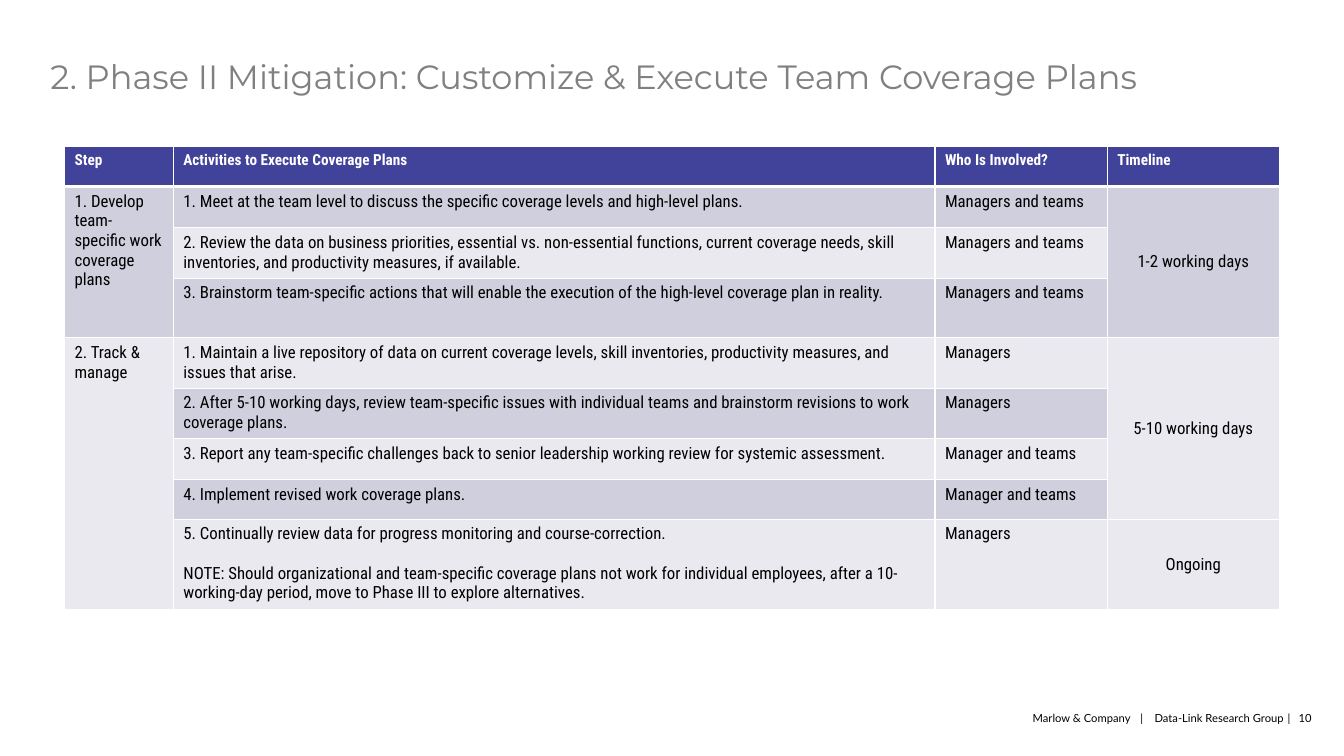
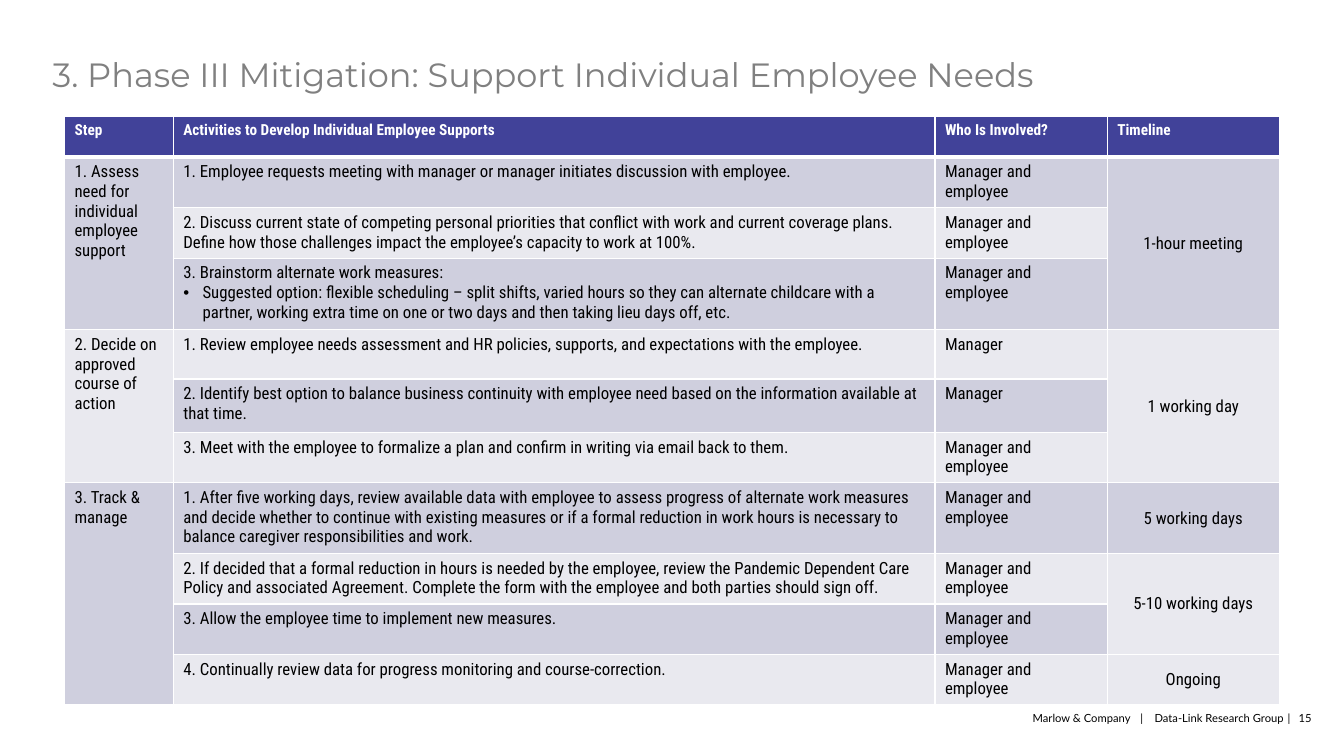
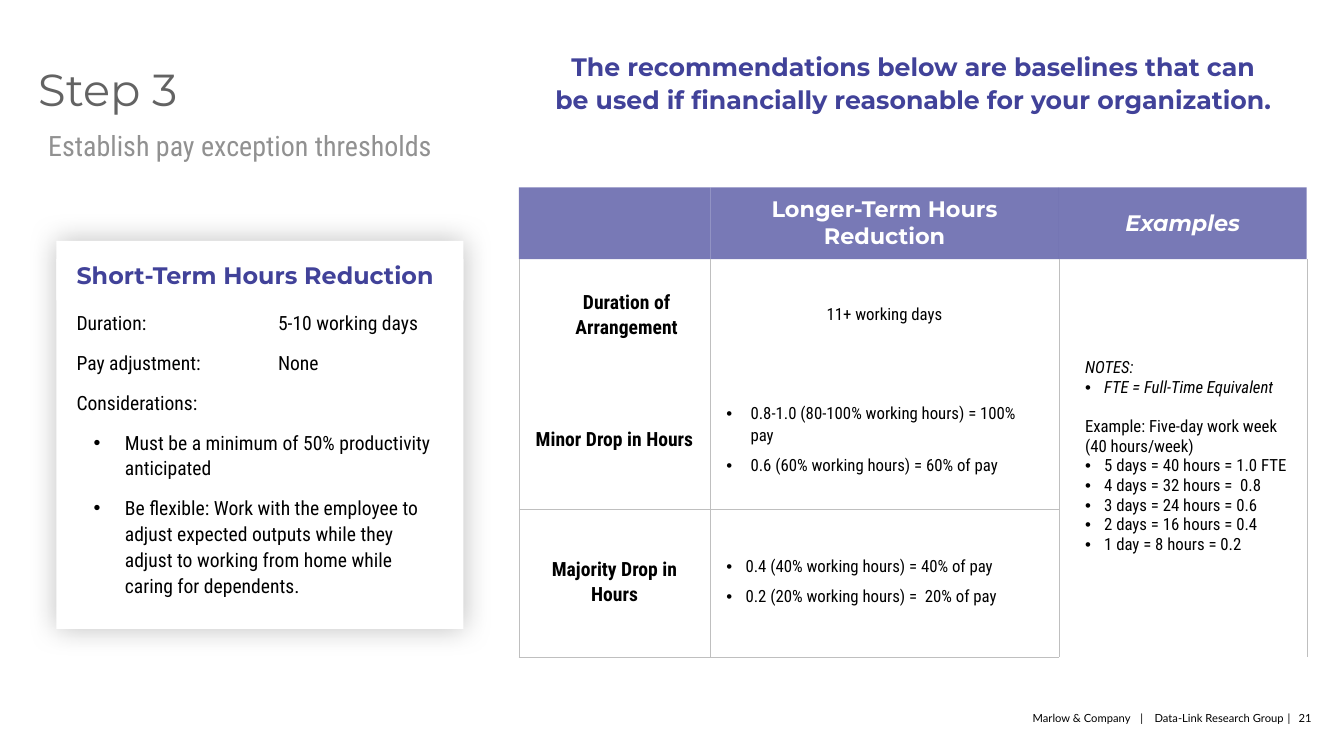
import lxml.etree
import pptx
import pptx.dml.color
import pptx.enum.shapes
import pptx.enum.text
import pptx.oxml.ns
import pptx.util

Inches = pptx.util.Inches
Pt = pptx.util.Pt
CENTER = pptx.enum.text.PP_ALIGN.CENTER
MIDDLE = pptx.enum.text.MSO_ANCHOR.MIDDLE

INK = "000000"
WHITE = "FFFFFF"
GRAY = "808080"
INDIGO = "414299"
VIOLET = "6162AA"
RULE = "BFBFBF"
SHADES = ["E9E9EF", "CFCFDE"]
HEAD = "Montserrat"
BODY = "Roboto Condensed"
PLAIN = "{2D5ABB26-0587-4C30-8999-92F81FD0307C}"
SIDES = ["left", "top", "right", "bottom"]


def paint(text):
    return pptx.dml.color.RGBColor.from_string(text)


def node(parent, tag, **values):
    child = lxml.etree.SubElement(parent, pptx.oxml.ns.qn(tag))
    for key, value in values.items():
        child.set(key, str(value))
    return child


def inset(item, values):
    for side, value in zip(SIDES, values):
        setattr(item, f"margin_{side}", Inches(value))


def bullet(text, left=0.19, hang=-0.19, **look):
    return text, {"left": left, "hang": hang, "mark": "•", **look}


class Deck:
    def __init__(self):
        self.show = pptx.Presentation()
        self.show.slide_width = Inches(13.34)
        self.show.slide_height = Inches(7.5)
        self.slide = None

    def page(self, number):
        self.slide = self.show.slides.add_slide(self.show.slide_layouts[6])
        line = f"Marlow & Company\t|\tData-Link Research Group\t|\t{number}"
        self.text([10.25, 7.04, 2.9, 0.2], [line], pad=[0] * 4, size=8, name="Lato",
                  spacing=1.1, tabs=[1.07, 1.21, 2.53, 2.64])

    def pour(self, frame, lines, pad=None, **base):
        frame.word_wrap = True
        if pad:
            inset(frame, pad)
        for index, item in enumerate(lines):
            words, own = item if isinstance(item, tuple) else (item, {})
            look = {"name": BODY, "size": 12, "color": INK, "bold": False, "italic": False, **base, **own}
            para = frame.add_paragraph() if index else frame.paragraphs[0]
            self.align(para, look, index)
            run = para.add_run()
            run.text = words
            values = {key: look[key] for key in ["name", "bold", "italic"]}
            for key, value in {**values, "size": Pt(look["size"])}.items():
                setattr(run.font, key, value)
            run.font.color.rgb = paint(look["color"])

    def align(self, para, look, index):
        props = para._p.get_or_add_pPr()
        for key, name in {"left": "marL", "hang": "indent"}.items():
            if key in look:
                props.set(name, str(Inches(look[key])))
        if "mark" in look:
            node(props, "a:buFont", typeface="Arial")
            node(props, "a:buChar", char=look["mark"])
        if "tabs" in look:
            stops = node(props, "a:tabLst")
            for stop in look["tabs"]:
                node(stops, "a:tab", pos=Inches(stop), algn="l")
        values = {"alignment": look.get("align"), "line_spacing": look.get("spacing")}
        if index and "before" in look:
            values["space_before"] = Pt(look["before"])
        for key, value in values.items():
            if value is not None:
                setattr(para, key, value)

    def text(self, box, lines, **look):
        shape = self.slide.shapes.add_textbox(*map(Inches, box))
        self.pour(shape.text_frame, lines, **look)

    def title(self, box, words, **look):
        values = {"name": HEAD, "size": 24, "color": GRAY, "spacing": 0.9, **look}
        self.text(box, [words], pad=[0] * 4, **values)

    def panel(self, box, lines, blur=0, **look):
        kind = pptx.enum.shapes.MSO_SHAPE.RECTANGLE
        shape = self.slide.shapes.add_shape(kind, *map(Inches, box))
        shape.shadow.inherit = False
        shape.fill.solid()
        shape.fill.fore_color.rgb = paint(WHITE)
        shape.line.fill.background()
        if blur:
            effects = shape._element.spPr.find(pptx.oxml.ns.qn("a:effectLst"))
            glow = node(effects, "a:outerShdw", blurRad=Pt(blur), dist=0, dir=0, algn="ctr", rotWithShape=0)
            node(node(glow, "a:srgbClr", val=INK), "a:alpha", val=25000)
        shape.text_frame.vertical_anchor = pptx.enum.text.MSO_ANCHOR.TOP
        self.pour(shape.text_frame, lines, align=pptx.enum.text.PP_ALIGN.LEFT, **look)

    def grid(self, left, top, wide, high, rows):
        box = map(Inches, [left, top, sum(wide), sum(high)])
        table = self.slide.shapes.add_table(len(high), len(wide), *box).table
        table.first_row = table.horz_banding = False
        table._tbl.tblPr.find(pptx.oxml.ns.qn("a:tableStyleId")).text = PLAIN
        for column, width in zip(table.columns, wide):
            column.width = Inches(width)
        for row, height in zip(table.rows, high):
            row.height = Inches(height)
        for c in range(len(wide)):
            starts = [r for r, row in enumerate(rows) if row[c] is not None]
            for start, end in zip(starts, starts[1:] + [len(rows)]):
                if end - start > 1:
                    table.cell(start, c).merge(table.cell(end - 1, c))
        return table

    def edge(self, cell, sides, color, width):
        props = cell._tc.get_or_add_tcPr()
        for side in sides:
            line = node(props, f"a:ln{side}", w=Pt(width))
            node(node(line, "a:solidFill"), "a:srgbClr", val=color)

    def tint(self, cell, color, alpha=100):
        cell.fill.solid()
        cell.fill.fore_color.rgb = paint(color)
        if alpha < 100:
            tone = cell._tc.tcPr.find(".//" + pptx.oxml.ns.qn("a:srgbClr"))
            node(tone, "a:alpha", val=alpha * 1000)

    def plan(self, top, high, focus, rows):
        rows = [["Step", focus, "Who Is Involved?", "Timeline"]] + rows
        table = self.grid(0.64, top, [1.08, 7.56, 1.71, 1.71], high, rows)
        shade = {}
        for r, row in enumerate(rows):
            for c, words in enumerate(row):
                cell = table.cell(r, c)
                self.edge(cell, "LR", WHITE, 1)
                self.edge(cell, "T", WHITE, 3 if r == 1 else 1)
                self.edge(cell, "B", WHITE, 1 if r else 3)
                if words is not None:
                    shade[c] = SHADES[r % 2] if r else INDIGO
                    look = {} if r else {"size": 10.9, "color": WHITE, "bold": True}
                    if r and c == 3:
                        cell.vertical_anchor = MIDDLE
                        look["align"] = CENTER
                    lines = words if isinstance(words, list) else [words]
                    self.pour(cell.text_frame, lines, **look)
                self.tint(cell, shade[c])

    def rates(self, rows):
        table = self.grid(5.15, 1.86, [1.9, 3.46, 2.46], [0.71, 1.13, 1.35, 1.47], rows)
        for r, row in enumerate(rows):
            for c, lines in enumerate(row):
                cell = table.cell(r, c)
                cell.vertical_anchor = MIDDLE
                if r == 0:
                    self.tint(cell, VIOLET, 85)
                    self.pour(cell.text_frame, lines, name=HEAD, size=16, color=WHITE, bold=True, align=CENTER)
                    continue
                self.edge(cell, "LR", RULE, 0.25)
                if c < 2 and r == 3:
                    self.edge(cell, "T", RULE, 0.25)
                if c < 2 and r > 1:
                    self.edge(cell, "B", RULE, 0.25)
                cell.fill.background()
                if lines is None:
                    continue
                inset(cell, [0.16, 0.08, 0.16, 0.12])
                look = {} if c == 2 else {"spacing": 1.1, "before": 6}
                if c == 0:
                    look.update(size=14, bold=True, align=CENTER)
                self.pour(cell.text_frame, lines, **look)


def team(deck):
    deck.page(10)
    deck.title([0.5, 0.6, 11.68, 0.57], "2. Phase II Mitigation: Customize & Execute Team Coverage Plans")
    both = "Managers and teams"
    one = "Manager and teams"
    note = ("NOTE: Should organizational and team-specific coverage plans not work for individual employees, "
            "after a 10-working-day period, move to Phase III to explore alternatives.")
    deck.plan(1.45, [0.4, 0.41, 0.49, 0.59, 0.49, 0.49, 0.41, 0.39, 0.88], "Activities to Execute Coverage Plans", [
        ["1. Develop team-specific work coverage plans",
         "1. Meet at the team level to discuss the specific coverage levels and high-level plans.",
         both, "1-2 working days"],
        [None, "2. Review the data on business priorities, essential vs. non-essential functions, current coverage "
         "needs, skill inventories, and productivity measures, if available.", both, None],
        [None, "3. Brainstorm team-specific actions that will enable the execution of the high-level coverage plan "
         "in reality.", both, None],
        ["2. Track & manage", "1. Maintain a live repository of data on current coverage levels, skill inventories, "
         "productivity measures, and issues that arise.", "Managers", "5-10 working days"],
        [None, "2. After 5-10 working days, review team-specific issues with individual teams and brainstorm "
         "revisions to work coverage plans.", "Managers", None],
        [None, "3. Report any team-specific challenges back to senior leadership working review for systemic "
         "assessment.", one, None],
        [None, "4. Implement revised work coverage plans.", one, None],
        [None, ["5. Continually review data for progress monitoring and course-correction.", (note, {"before": 14})],
         "Managers", "Ongoing"],
    ])


def support(deck):
    deck.page(15)
    deck.title([0.52, 0.58, 10.59, 0.57], "3. Phase III Mitigation: Support Individual Employee Needs")
    pair = "Manager and employee"
    high = [0.41, 0.49, 0.49, 0.71, 0.49, 0.53, 0.49, 0.69, 0.5, 0.49, 0.49]
    deck.plan(1.15, high, "Activities to Develop Individual Employee Supports", [
        ["1. Assess need for individual employee support",
         "1. Employee requests meeting with manager or manager initiates discussion with employee.",
         pair, "1-hour meeting"],
        [None, "2. Discuss current state of competing personal priorities that conflict with work and current "
         "coverage plans. Define how those challenges impact the employee’s capacity to work at 100%.", pair, None],
        [None, ["3. Brainstorm alternate work measures:",
                bullet("Suggested option: flexible scheduling – split shifts, varied hours so they can alternate "
                       "childcare with a partner, working extra time on one or two days and then taking lieu days "
                       "off, etc.")], pair, None],
        ["2. Decide on approved course of action", "1. Review employee needs assessment and HR policies, supports, "
         "and expectations with the employee.", "Manager", "1 working day"],
        [None, "2. Identify best option to balance business continuity with employee need based on the information "
         "available at that time.", "Manager", None],
        [None, "3. Meet with the employee to formalize a plan and confirm in writing via email back to them.",
         pair, None],
        ["3. Track & manage", "1. After five working days, review available data with employee to assess progress of "
         "alternate work measures and decide whether to continue with existing measures or if a formal reduction in "
         "work hours is necessary to balance caregiver responsibilities and work.", pair, "5 working days"],
        [None, "2. If decided that a formal reduction in hours is needed by the employee, review the Pandemic "
         "Dependent Care Policy and associated Agreement. Complete the form with the employee and both parties "
         "should sign off.", pair, "5-10 working days"],
        [None, "3. Allow the employee time to implement new measures.", pair, None],
        [None, "4. Continually review data for progress monitoring and course-correction.", pair, "Ongoing"],
    ])


def pay(deck):
    deck.page(21)
    deck.title([0.38, 0.59, 4.6, 0.57], "Step 3", size=32, color="636363", spacing=Pt(40))
    deck.text([0.38, 1.26, 4.7, 0.5], ["Establish pay exception thresholds"], size=20, color="919191", spacing=0.9)
    days = ["5 days = 40 hours = 1.0 FTE", "4 days = 32 hours =  0.8", "3 days = 24 hours = 0.6",
            "2 days = 16 hours = 0.4", "1 day = 8 hours = 0.2"]
    notes = [
        ("NOTES:", {"left": 0.1, "italic": True}),
        bullet("FTE = Full-Time Equivalent", 0.29, italic=True),
        ("Example: Five-day work week", {"left": 0.1, "before": 14}),
        ("(40 hours/week)", {"left": 0.1}),
    ] + [bullet(day, 0.29) for day in days]
    minor = ["0.8-1.0 (80-100% working hours) = 100% pay", "0.6 (60% working hours) = 60% of pay"]
    major = ["0.4 (40% working hours) = 40% of pay", "0.2 (20% working hours) =  20% of pay"]
    deck.rates([
        [[], ["Longer-Term Hours Reduction"], [("Examples", {"italic": True})]],
        [[("Duration of Arrangement", {"left": 0.24})], [("11+ working days", {"align": CENTER})], notes],
        [["Minor Drop in Hours"], [bullet(rate, 0.24, -0.24) for rate in minor], None],
        [["Majority Drop in Hours"], [bullet(rate) for rate in major], None],
    ])
    points = ["Must be a minimum of 50% productivity anticipated",
              "Be flexible: Work with the employee to adjust expected outputs while they adjust to working from "
              "home while caring for dependents."]
    lines = ["Duration:\t5-10 working days", "Pay adjustment:\tNone", "Considerations:"]
    lines = [(line, {"tabs": [2]}) for line in lines] + [bullet(point, 0.48, -0.31) for point in points]
    deck.panel([0.56, 2.39, 4.04, 3.85], lines, blur=20, pad=[0.2, 0.67, 0.2, 0.2], size=14, spacing=1.1, before=10)
    deck.panel([0.56, 2.57, 4.04, 0.41], ["Short-Term Hours Reduction"], pad=[0.2, 0.05, 0.2, 0.05],
               name=HEAD, size=17, color=INDIGO, bold=True, spacing=0.9)
    deck.text([5.38, 0.43, 7.37, 0.73],
              ["The recommendations below are baselines that can be used if financially reasonable for your "
               "organization."], name=HEAD, size=18, color=INDIGO, bold=True, align=CENTER, spacing=1.1)


def main():
    deck = Deck()
    for build in [team, support, pay]:
        build(deck)
    deck.show.save("out.pptx")


if __name__ == "__main__":
    main()
